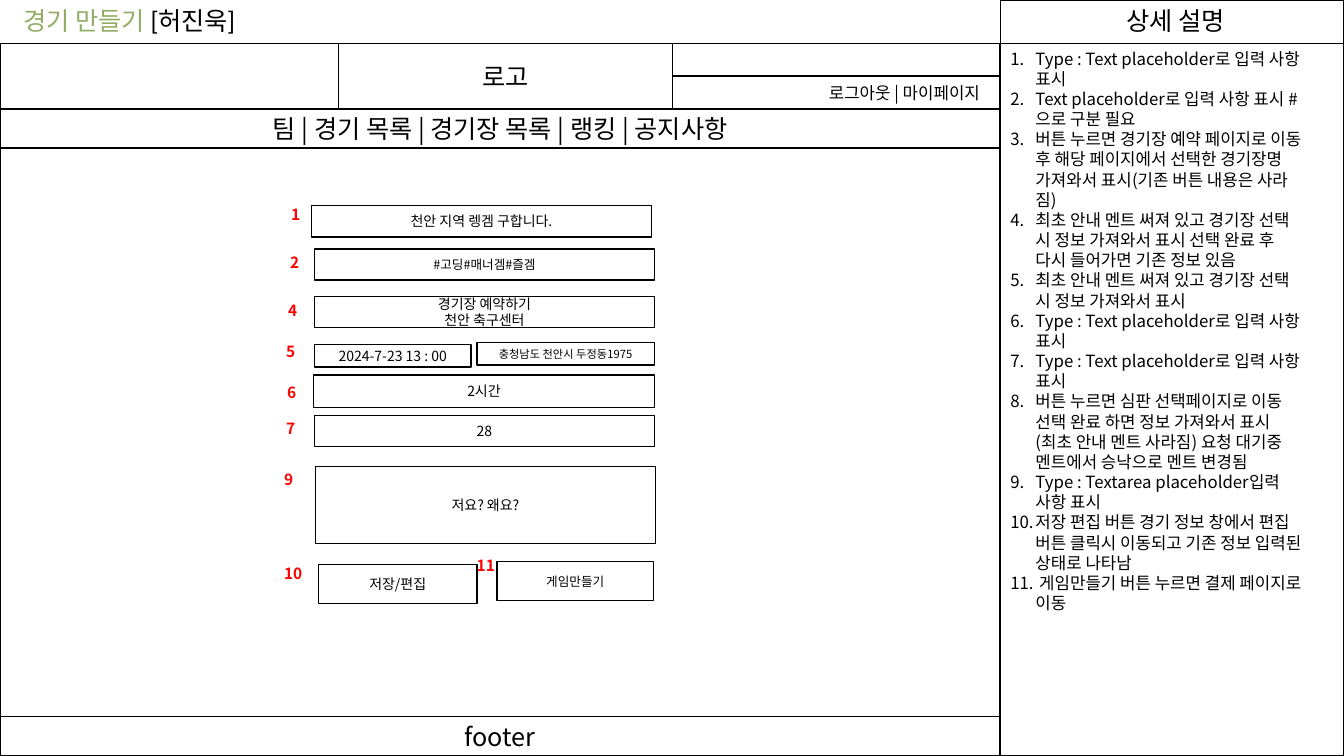
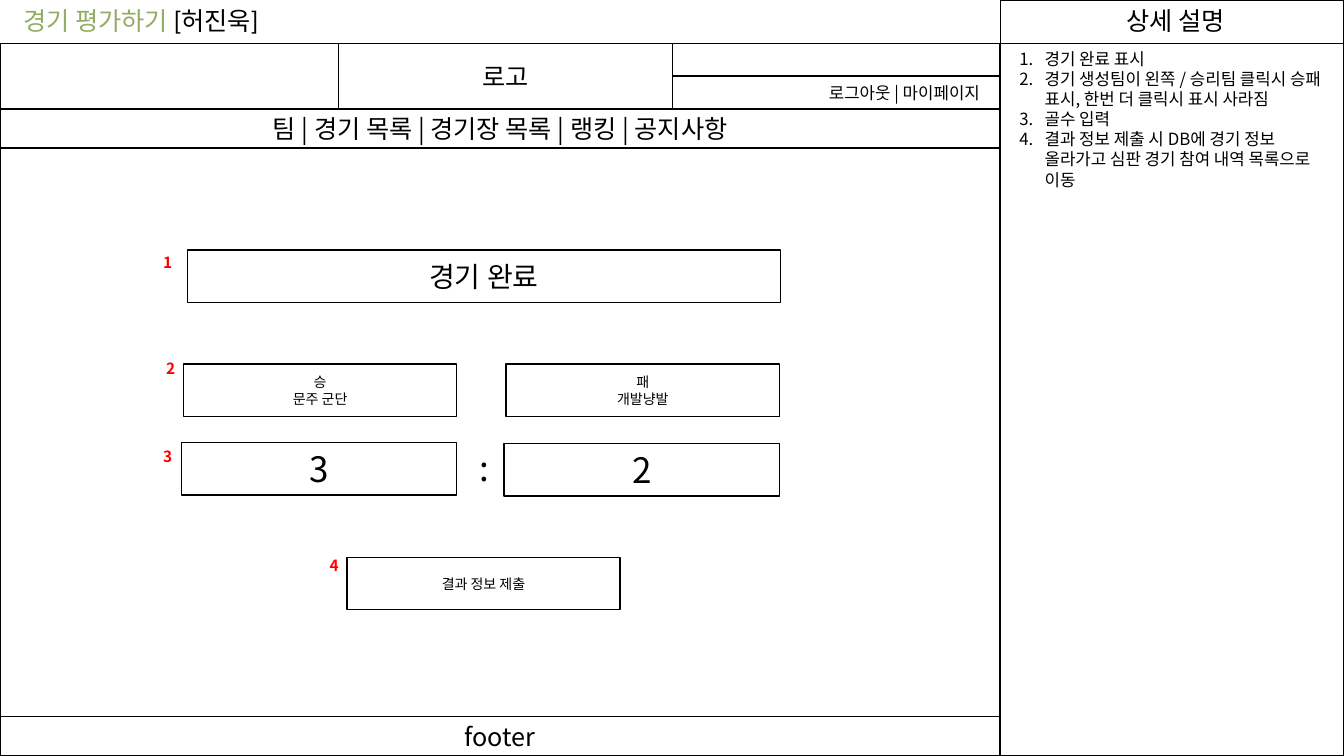
import dataclasses

import pptx
import pptx.dml.color
import pptx.enum.shapes
import pptx.enum.text
import pptx.oxml
import pptx.oxml.ns
import pptx.util
from lxml import etree

ALIGN = pptx.enum.text.PP_ALIGN
ANCHOR = pptx.enum.text.MSO_ANCHOR
INCH = pptx.util.Inches

BLACK, WHITE, GREEN, RED = "000000", "FFFFFF", "92AC65", "FF0000"
FONT, NAME_FONT = "Noto Sans CJK KR", "Lato"
LINE_HEIGHT = 1.2

SLIDE_W, SLIDE_H = 13.33, 7.5
PAGE_W = 9.92
SIDE_W = SLIDE_W - PAGE_W
TITLE_H = 0.43
BAR_H = 0.39
LOGO_X, LOGO_W, LOGO_H = 3.36, 3.31, 0.65
NAV_Y = TITLE_H + LOGO_H
CONTENT_Y = NAV_Y + BAR_H
FOOTER_Y = SLIDE_H - BAR_H
CONTENT = (0, CONTENT_Y, PAGE_W, FOOTER_Y - CONTENT_Y)


@dataclasses.dataclass
class Field:
    """A wireframe box; at is measured from the content area's corner."""
    text: str
    at: tuple
    size: int = 10
    number: str = ""
    shift: tuple = (-0.36, 0)  # number's corner, measured from the box's corner


def rgb(color):
    return pptx.dml.color.RGBColor.from_string(color)


def place(shape, box):
    for side, length in zip(("left", "top", "width", "height"), box):
        setattr(shape, side, INCH(length))


def outline(shape):
    shape.fill.solid()
    shape.fill.fore_color.rgb = rgb(WHITE)
    shape.line.color.rgb = rgb(BLACK)
    shape.line.width = pptx.util.Pt(1)


def set_frame(shape, **changes):
    """Set wrapping, anchor and insets of the text frame."""
    values = {
        "auto_size": pptx.enum.text.MSO_AUTO_SIZE.NONE,
        "word_wrap": True,
        "vertical_anchor": ANCHOR.TOP,
        "margin_left": INCH(0.1),
        "margin_right": INCH(0.1),
        "margin_top": INCH(0.05),
        "margin_bottom": INCH(0.05),
    }
    values.update(changes)
    for key, value in values.items():
        setattr(shape.text_frame, key, value)


def add_run(paragraph, text, size, color=BLACK, bold=False, font=FONT):
    run = paragraph.add_run()
    run.text = text
    values = {"size": pptx.util.Pt(size), "bold": bold, "name": font}
    for key, value in values.items():
        setattr(run.font, key, value)
    run.font.color.rgb = rgb(color)
    east_asian = etree.SubElement(run._r.get_or_add_rPr(), pptx.oxml.ns.qn("a:ea"))
    east_asian.set("typeface", FONT)


def add_paragraphs(shape, lines, size, align=ALIGN.LEFT, **style):
    """Write one paragraph per line and return the paragraphs."""
    frame = shape.text_frame
    paragraphs = []
    for line in lines:
        paragraph = frame.add_paragraph() if paragraphs else frame.paragraphs[0]
        paragraph.alignment = align
        paragraph.line_spacing = pptx.util.Pt(size * LINE_HEIGHT)
        paragraph.space_before = pptx.util.Pt(0)
        add_run(paragraph, line, size, **style)
        paragraphs.append(paragraph)
    return paragraphs


def add_box(slide, box, text="", size=18, align=ALIGN.CENTER, **frame):
    shape = slide.shapes.add_shape(
        pptx.enum.shapes.MSO_SHAPE.RECTANGLE, *map(INCH, box))
    shape.shadow.inherit = False
    outline(shape)
    set_frame(shape, **{"vertical_anchor": ANCHOR.MIDDLE, **frame})
    if text:
        add_paragraphs(shape, text.split("\n"), size, align)


def add_label(slide, box, text, size, **style):
    label = slide.shapes.add_textbox(*map(INCH, box))
    set_frame(label, word_wrap=False)
    add_paragraphs(label, [text], size, **style)


def number_items(paragraphs, indent=0.25):
    for paragraph in paragraphs:
        properties = paragraph._p.get_or_add_pPr()
        properties.set("marL", str(INCH(indent)))
        properties.set("indent", str(-INCH(indent)))
        bullet = etree.SubElement(properties, pptx.oxml.ns.qn("a:buAutoNum"))
        bullet.set("type", "arabicPeriod")


def page_title(slide, box, title, author):
    heading = slide.shapes.title
    place(heading, box)
    set_frame(heading)
    paragraph, = add_paragraphs(heading, [title + " "], 18, color=GREEN)
    add_run(paragraph, f"[{author}]", 18, font=NAME_FONT)


def side_panel(slide, box, notes, inset_left, inset_right):
    """Detail column: a heading cell above a framed numbered list."""
    left, top, width, height = box
    add_box(slide, (left, top, width, TITLE_H), "상세 설명",
            vertical_anchor=ANCHOR.TOP, margin_left=INCH(0.17))
    details = slide.placeholders[1]
    place(details, (left, top + TITLE_H, width, height - TITLE_H))
    outline(details)
    set_frame(details, margin_left=INCH(inset_left), margin_right=INCH(inset_right))
    number_items(add_paragraphs(details, notes, 12))


def site_frame(slide):
    """Header, navigation, content area and footer of the site."""
    account_x = LOGO_X + LOGO_W
    account_h = LOGO_H / 2
    add_box(slide, CONTENT)
    add_box(slide, (0, TITLE_H, PAGE_W, CONTENT_Y - TITLE_H))
    add_box(slide, (LOGO_X, TITLE_H, LOGO_W, LOGO_H), "로고")
    add_box(slide, (account_x, NAV_Y - account_h, PAGE_W - account_x, account_h),
            "로그아웃 | 마이페이지", 12, ALIGN.RIGHT, margin_right=INCH(0.2))
    add_box(slide, (0, NAV_Y, PAGE_W, BAR_H),
            "팀 | 경기 목록 | 경기장 목록 | 랭킹 | 공지사항")
    add_box(slide, (0, FOOTER_Y, PAGE_W, BAR_H), "footer")


def content_fields(slide, box, fields):
    for field in fields:
        x, y, width, height = field.at
        x, y = box[0] + x, box[1] + y
        add_box(slide, (x, y, width, height), field.text, field.size)
        if field.number:
            dx, dy = field.shift
            add_label(slide, (x + dx, y + dy, 0.4, 0.29), field.number, 11,
                      color=RED, bold=True)


def wireframe_slide(deck, title, fields, notes, insets):
    slide = deck.slides.add_slide(deck.slide_layouts[1])
    page_title(slide, (0.13, 0, 5.33, 0.4), title, "허진욱")
    side_panel(slide, (PAGE_W, 0, SIDE_W, SLIDE_H), notes, *insets)
    site_frame(slide)
    content_fields(slide, CONTENT, fields)
    return slide


TEXT_INPUT = "Type : Text placeholder로 입력 사항 표시"
FORM_X, FORM_W, FORM_H = 3.12, 3.37, 0.31
CREATE_FIELDS = [
    Field("천안 지역 렝겜 구합니다.", (3.09, 0.57, FORM_W, FORM_H), 10, "1", (-0.3, -0.05)),
    Field("#고딩#매너겜#즐겜", (FORM_X, 1, FORM_W, FORM_H), 9, "2", (-0.34, -0.01)),
    Field("경기장 예약하기\n천안 축구센터", (FORM_X, 1.47, FORM_W, FORM_H), 10, "4"),
    Field("2024-7-23 13 : 00", (FORM_X, 1.95, 1.55, 0.22), 10, "5", (-0.38, -0.08)),
    Field("충청남도 천안시 두정동1975", (4.73, 1.93, 1.76, 0.22), 8),
    Field("2시간", (3.11, 2.25, 3.38, 0.32), 10, "6", (-0.36, 0.03)),
    Field("28", (FORM_X, 2.65, FORM_W, FORM_H), 10, "7", (-0.38, -0.01)),
    Field("저요? 왜요?", (3.13, 3.16, FORM_W, 0.76), 10, "9", (-0.41, -0.02)),
    Field("저장/편집", (3.16, 4.13, 1.57, 0.39), 10, "10", (-0.44, -0.05)),
    Field("게임만들기", (4.93, 4.1, 1.55, 0.39), 9, "11", (-0.3, -0.1)),
]
CREATE_NOTES = [
    TEXT_INPUT,
    "Text placeholder로 입력 사항 표시 #으로 구분 필요",
    "버튼 누르면 경기장 예약 페이지로 이동 후 해당 페이지에서 선택한 "
    "경기장명 가져와서 표시(기존 버튼 내용은 사라짐)",
    "최초 안내 멘트 써져 있고 경기장 선택 시 정보 가져와서 표시 "
    "선택 완료 후 다시 들어가면 기존 정보 있음",
    "최초 안내 멘트 써져 있고 경기장 선택 시 정보 가져와서 표시",
    TEXT_INPUT,
    TEXT_INPUT,
    "버튼 누르면 심판 선택페이지로 이동 선택 완료 하면 정보 가져와서 "
    "표시(최초 안내 멘트 사라짐) 요청 대기중 멘트에서 승낙으로 멘트 변경됨",
    "Type : Textarea placeholder입력 사항 표시",
    "저장 편집 버튼 경기 정보 창에서 편집 버튼 클릭시 이동되고 "
    "기존 정보 입력된 상태로 나타남",
    " 게임만들기 버튼 누르면 결제 페이지로 이동",
]

TEAM_W, TEAM_H = 2.71, 0.52
SCORE_W = 2.73
REVIEW_FIELDS = [
    Field("경기 완료", (1.86, 1.01, 5.88, TEAM_H), 20, "1", (-0.34, -0.02)),
    Field("승\n문주 군단", (1.82, 2.14, TEAM_W, TEAM_H), 10, "2", (-0.27, -0.1)),
    Field("패\n개발냥발", (5.02, 2.14, TEAM_W, TEAM_H)),
    Field("3", (1.8, 2.92, SCORE_W, TEAM_H), 25, "3", (-0.28, 0)),
    Field("2", (5, 2.93, SCORE_W, TEAM_H), 25),
    Field("결과 정보 제출", (3.44, 4.06, TEAM_W, TEAM_H), 10, "4", (-0.27, -0.06)),
]
REVIEW_NOTES = [
    "경기 완료 표시",
    "경기 생성팀이 왼쪽 / 승리팀 클릭시 승패 표시, 한번 더 클릭시 표시 사라짐",
    "골수 입력",
    "결과 정보 제출 시 DB에 경기 정보 올라가고 심판 경기 참여 내역 목록으로 이동",
]


def main():
    deck = pptx.Presentation()
    deck.slide_width, deck.slide_height = INCH(SLIDE_W), INCH(SLIDE_H)
    wireframe_slide(deck, "경기 만들기", CREATE_FIELDS, CREATE_NOTES, (0.1, 0.39))
    review = wireframe_slide(deck, "경기 평가하기", REVIEW_FIELDS, REVIEW_NOTES,
                             (0.19, 0.22))
    add_label(review, (4.66, CONTENT_Y + 2.91, 0.28, TEAM_H), ":", 25)
    deck.save("out.pptx")


if __name__ == "__main__":
    main()
